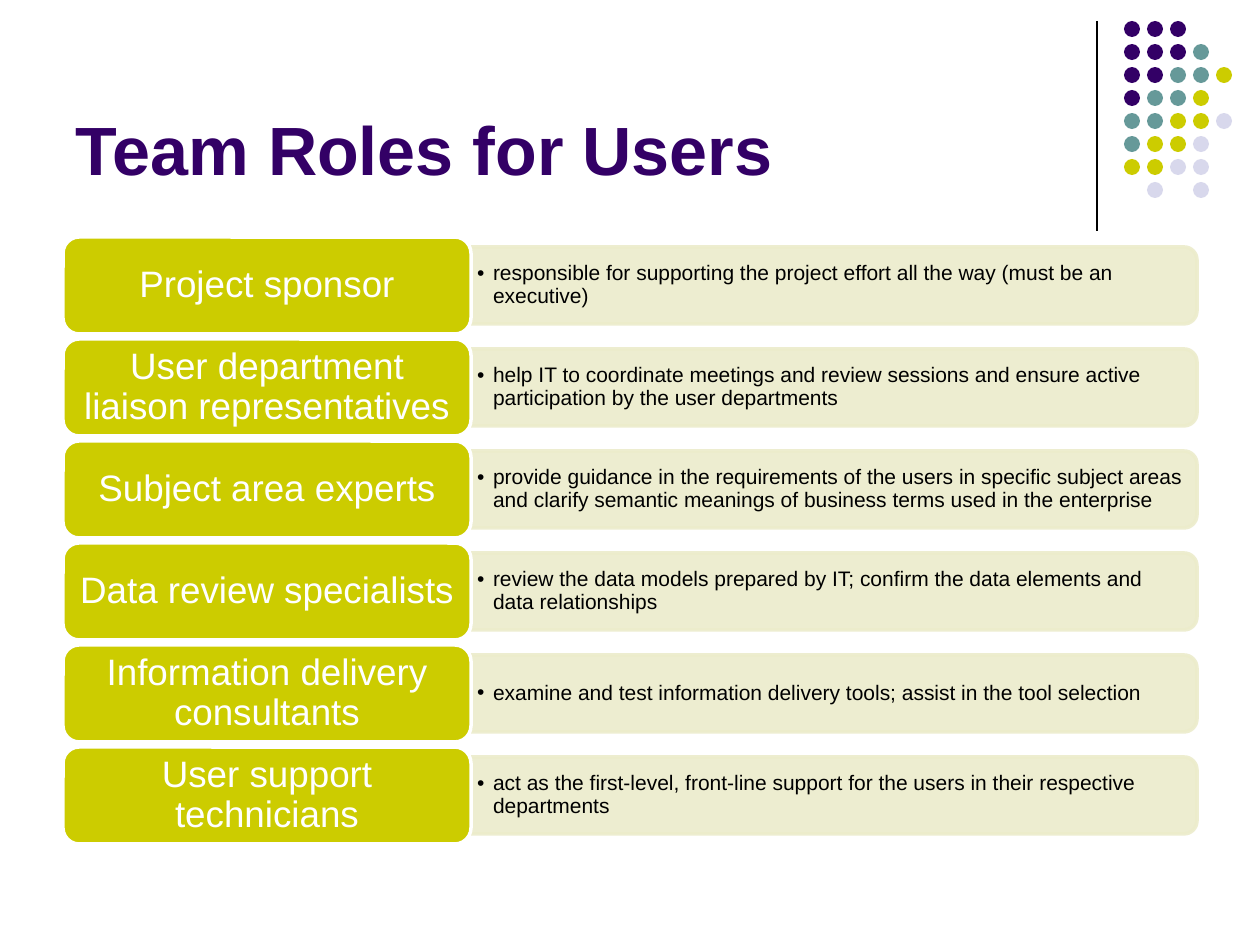
from math import cos, pi, sin

from lxml.etree import SubElement
from pptx import Presentation
from pptx.dml.color import RGBColor
from pptx.enum.shapes import MSO_CONNECTOR, MSO_SHAPE
from pptx.enum.text import MSO_ANCHOR, MSO_AUTO_SIZE, PP_ALIGN
from pptx.oxml.ns import qn
from pptx.util import Pt

PX = 914400 / 126  # EMU in one px

COLORS = {
    "purple": "330066",
    "teal": "669999",
    "lime": "CCCC00",
    "lavender": "D8D8EC",
    "cream": "ECECCB",
    "white": "FFFFFF",
    "black": "000000",
}

DOT_COLORS = {"P": "purple", "T": "teal", "L": "lime", "V": "lavender"}
DOT_ROWS = ["PPP", "PPPT", "PPTTL", "PTTL", "TTLLV", "TLLV", "LLVV", " V V"]

ROLES = [
    ("Project sponsor",
     "responsible for supporting the project effort all the way "
     "(must be an executive)"),
    ("User department liaison representatives",
     "help IT to coordinate meetings and review sessions and ensure active "
     "participation by the user departments"),
    ("Subject area experts",
     "provide guidance in the requirements of the users in specific subject "
     "areas and clarify semantic meanings of business terms used in the "
     "enterprise"),
    ("Data review specialists",
     "review the data models prepared by IT; confirm the data elements and "
     "data relationships"),
    ("Information delivery consultants",
     "examine and test information delivery tools; assist in the tool "
     "selection"),
    ("User support technicians",
     "act as the first-level, front-line support for the users in their "
     "respective departments"),
]


def px(*lengths):
    return [round(length * PX) for length in lengths]


def rgb(name):
    return RGBColor.from_string(COLORS[name])


def paint(shape, fill, line=None, alpha=None):
    shape.shadow.inherit = False
    shape.fill.solid()
    shape.fill.fore_color.rgb = rgb(fill)
    if line:
        shape.line.color.rgb = rgb(line)
        shape.line.width = Pt(2)
    else:
        shape.line.fill.background()
    if alpha:
        for color in shape._element.spPr.iter(qn("a:srgbClr")):
            SubElement(color, qn("a:alpha"), val=str(alpha * 1000))


def add_bullet(paragraph, color, indent):
    paragraph.level = 1
    props = paragraph._p.get_or_add_pPr()
    props.set("marL", str(indent))
    props.set("indent", str(-indent))
    bullet_color = SubElement(props, qn("a:buClr"))
    SubElement(bullet_color, qn("a:srgbClr"), val=COLORS[color])
    SubElement(props, qn("a:buFont"), typeface="Arial")
    SubElement(props, qn("a:buChar"), char="•")


def write(shape, text, *, size, color, bold=False, align=PP_ALIGN.LEFT,
          anchor=MSO_ANCHOR.MIDDLE, insets=(13, 6, 13, 6), spacing=None,
          after=0, bullet_indent=None):
    frame = shape.text_frame
    frame.word_wrap = True
    frame.auto_size = MSO_AUTO_SIZE.NONE
    frame.vertical_anchor = anchor
    (frame.margin_left, frame.margin_top,
     frame.margin_right, frame.margin_bottom) = px(*insets)
    frame.text = text
    paragraph = frame.paragraphs[0]
    if bullet_indent:
        add_bullet(paragraph, color, *px(bullet_indent))
    paragraph.alignment = align
    paragraph.line_spacing = spacing
    paragraph.space_before = Pt(0)
    paragraph.space_after = Pt(after)
    font = paragraph.runs[0].font
    font.name, font.size, font.bold = "Arial", Pt(size), bold
    font.color.rgb = rgb(color)


def add_title(slide, left, top, width, height):
    title = slide.shapes.title
    title.left, title.top, title.width, title.height = px(
        left, top, width, height)
    write(title, "Team Roles for Users", size=39, color="purple", bold=True,
          anchor=MSO_ANCHOR.BOTTOM)


def add_corner_ornament(slide, left, top, height):
    """Vertical rule with a grid of dots to its right."""
    rule = slide.shapes.add_connector(
        MSO_CONNECTOR.STRAIGHT, *px(left, top, left, top + height))
    rule.line.color.rgb = rgb("black")
    rule.line.width = Pt(0.75)
    SubElement(rule._element.spPr, qn("a:effectLst"))

    dots_left, pitch, diameter = left + 27, 23, 16
    for row, codes in enumerate(DOT_ROWS):
        for column, code in enumerate(codes):
            if code in DOT_COLORS:
                dot = slide.shapes.add_shape(MSO_SHAPE.OVAL, *px(
                    dots_left + column * pitch, top + row * pitch,
                    diameter, diameter))
                paint(dot, DOT_COLORS[code])


def add_duty(slide, duty, left, top, width, height):
    """Bar with only its right corners rounded."""
    radius, steps = 13, 8
    right, bottom = left + width, top + height
    outline = [(left, top)]
    for center_y, start in ((top + radius, -pi / 2), (bottom - radius, 0)):
        for step in range(steps + 1):
            angle = start + step * pi / 2 / steps
            outline.append((right - radius + radius * cos(angle),
                            center_y + radius * sin(angle)))
    outline.append((left, bottom))
    points = [px(*point) for point in outline]
    builder = slide.shapes.build_freeform(*points[0])
    builder.add_line_segments(points[1:], close=True)
    bar = builder.convert_to_shape()
    paint(bar, "cream", line="cream", alpha=90)
    write(bar, duty, size=12, color="black", insets=(6, 8, 10, 8),
          spacing=0.9, after=2.2, bullet_indent=16)


def add_role(slide, role, left, top, width, height):
    box = slide.shapes.add_shape(
        MSO_SHAPE.ROUNDED_RECTANGLE, *px(left, top, width, height))
    paint(box, "lime", line="white")
    write(box, role, size=21, color="white", align=PP_ALIGN.CENTER,
          insets=(11, 5, 11, 5), spacing=0.9, after=9.1)


def add_role_list(slide, left, top, width):
    role_width, role_height, pitch, duty_inset = 408, 97, 102, 10
    for index, (role, duty) in enumerate(ROLES):
        row_top = top + index * pitch
        add_duty(slide, duty, left + role_width, row_top + duty_inset,
                 width - role_width, role_height - 2 * duty_inset)
        add_role(slide, role, left, row_top, role_width, role_height)


def main():
    deck = Presentation()
    deck.slide_width, deck.slide_height = px(1260, 945)
    slide = deck.slides.add_slide(deck.slide_layouts[5])
    add_corner_ornament(slide, 1097, 21, 210)
    add_title(slide, 63, 16, 1040, 179)
    add_role_list(slide, 63, 237, 1134)
    deck.save("out.pptx")


if __name__ == "__main__":
    main()
